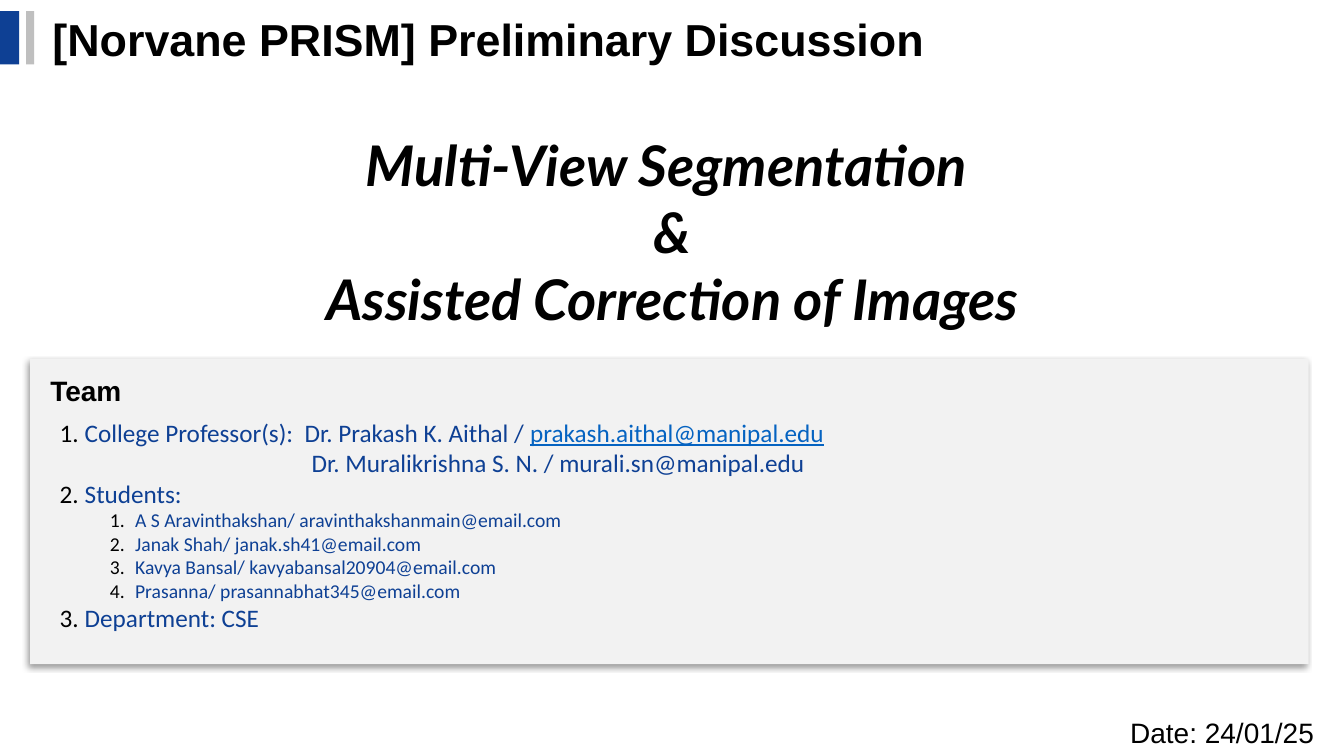
"""Build the opening slide of a preliminary project discussion."""
from lxml import etree
from pptx import Presentation, util as u
from pptx.dml.color import RGBColor
from pptx.enum import shapes, text
from pptx.oxml.ns import qn

BLUE, BLACK, LINK = "0E4094", "000000", "0563C1"


def tint(hue):
    return RGBColor.from_string(hue)


def add(node, tag, **attrs):
    return etree.SubElement(node, qn(tag), {k: str(v) for k, v in attrs.items()})


class Deck:
    """Holds the style and the current slide."""

    def __init__(self):
        self.file = Presentation()
        self.file.slide_width = u.Inches(13.33)
        self.file.slide_height = u.Inches(7.5)
        self.slide = self.file.slides.add_slide(self.file.slide_layouts[1])
        self.head = self.slide.shapes.title
        self.body = self.slide.placeholders[1]

    def place(self, shape, box):
        shape.left, shape.top, shape.width, shape.height = map(u.Inches, box)

    def style(self, font, size, face, hue=BLACK, bold=False, slant=False):
        font.size, font.name = u.Pt(size), face
        font.bold, font.italic = bold, slant
        font.color.rgb = tint(hue)

    def rect(self, box, hue, shade=False):
        shape = self.slide.shapes.add_shape(shapes.MSO_SHAPE.RECTANGLE, *map(u.Inches, box))
        shape.fill.solid()
        shape.fill.fore_color.rgb = tint(hue)
        shape.line.fill.background()
        shape.shadow.inherit = False
        if shade:
            glow = add(shape.element.spPr.find(qn("a:effectLst")), "a:outerShdw",
                       blurRad=u.Pt(4), dist=u.Pt(3), dir=135 * 60000,
                       algn="tr", rotWithShape=0)
            add(add(glow, "a:srgbClr", val=BLACK), "a:alpha", val=40000)
        self.head.element.addprevious(shape.element)

    def fill(self, shape, words, size, face, align=text.PP_ALIGN.LEFT,
             anchor=text.MSO_ANCHOR.MIDDLE, bold=False, slant=False):
        frame = shape.text_frame
        frame.word_wrap = True
        frame.auto_size = text.MSO_AUTO_SIZE.NONE
        frame.vertical_anchor = anchor
        para = frame.paragraphs[0]
        para.text = words
        para.alignment = align
        self.style(para.font, size, face, bold=bold, slant=slant)

    def title(self, box, words):
        self.place(self.head, box)
        self.fill(self.head, words, 32, "Arial", bold=True)

    def label(self, box, words, size=20, face="Arial", **look):
        shape = self.slide.shapes.add_textbox(*map(u.Inches, box))
        self.fill(shape, words, size, face, **look)

    def list(self, box, items):
        self.place(self.body, box)
        frame = self.body.text_frame
        frame.auto_size = text.MSO_AUTO_SIZE.NONE
        for i, (level, words, link) in enumerate(items):
            para = frame.add_paragraph() if i else frame.paragraphs[0]
            para.level = level
            prop = para._p.get_or_add_pPr()
            left, hang = {0: (0.25, -0.25), 1: (0.75, -0.25), 5: (2.5, 0)}[level]
            prop.set("marL", str(u.Inches(left)))
            prop.set("indent", str(u.Inches(hang)))
            if hang:
                add(add(prop, "a:buClr"), "a:srgbClr", val=BLACK)
                add(prop, "a:buFont", typeface="+mj-lt")
                add(prop, "a:buAutoNum", type="arabicPeriod")
            else:
                add(prop, "a:buNone")
            para.space_before = para.space_after = u.Pt(0)
            self.style(para.font, 14 if level == 1 else 18, "Calibri", BLUE)
            para.add_run().text = words
            if link:
                run = para.add_run()
                run.text = link
                run.font.underline = True
                run.font.color.rgb = tint(LINK)


def main():
    deck = Deck()
    deck.rect((0.3, 3.56, 12.68, 3.03), "F2F2F2", shade=True)
    deck.rect((0, 0.11, 0.19, 0.53), BLUE)
    deck.rect((0.26, 0.11, 0.08, 0.53), "BFBFBF")
    deck.title((0.42, 0.06, 10.28, 0.64), "[Norvane PRISM] Preliminary Discussion")
    deck.label((0.4, 3.66, 1.02, 0.44), "Team", anchor=text.MSO_ANCHOR.TOP, bold=True)
    deck.label((11.11, 7.04, 2.22, 0.44), "Date: 24/01/25")
    deck.label((1.53, 1.23, 10.28, 2.12),
               "Multi-View Segmentation \v&\vAssisted Correction of Images",
               40, "Lato", align=text.PP_ALIGN.CENTER, bold=True, slant=True)
    deck.list((0.49, 4.09, 11.91, 2.26), [
        (0, "College Professor(s):  Dr. Prakash K. Aithal / ", "prakash.aithal@manipal.edu"),
        (5, "Dr. Muralikrishna S. N. / murali.sn@manipal.edu", ""),
        (0, "Students:", ""),
        (1, "A S Aravinthakshan/ aravinthakshanmain@email.com", ""),
        (1, "Janak Shah/ janak.sh41@email.com", ""),
        (1, "Kavya Bansal/ kavyabansal20904@email.com", ""),
        (1, "Prasanna/ prasannabhat345@email.com", ""),
        (0, "Department: CSE", ""),
    ])
    deck.file.save("out.pptx")


if __name__ == "__main__":
    main()
